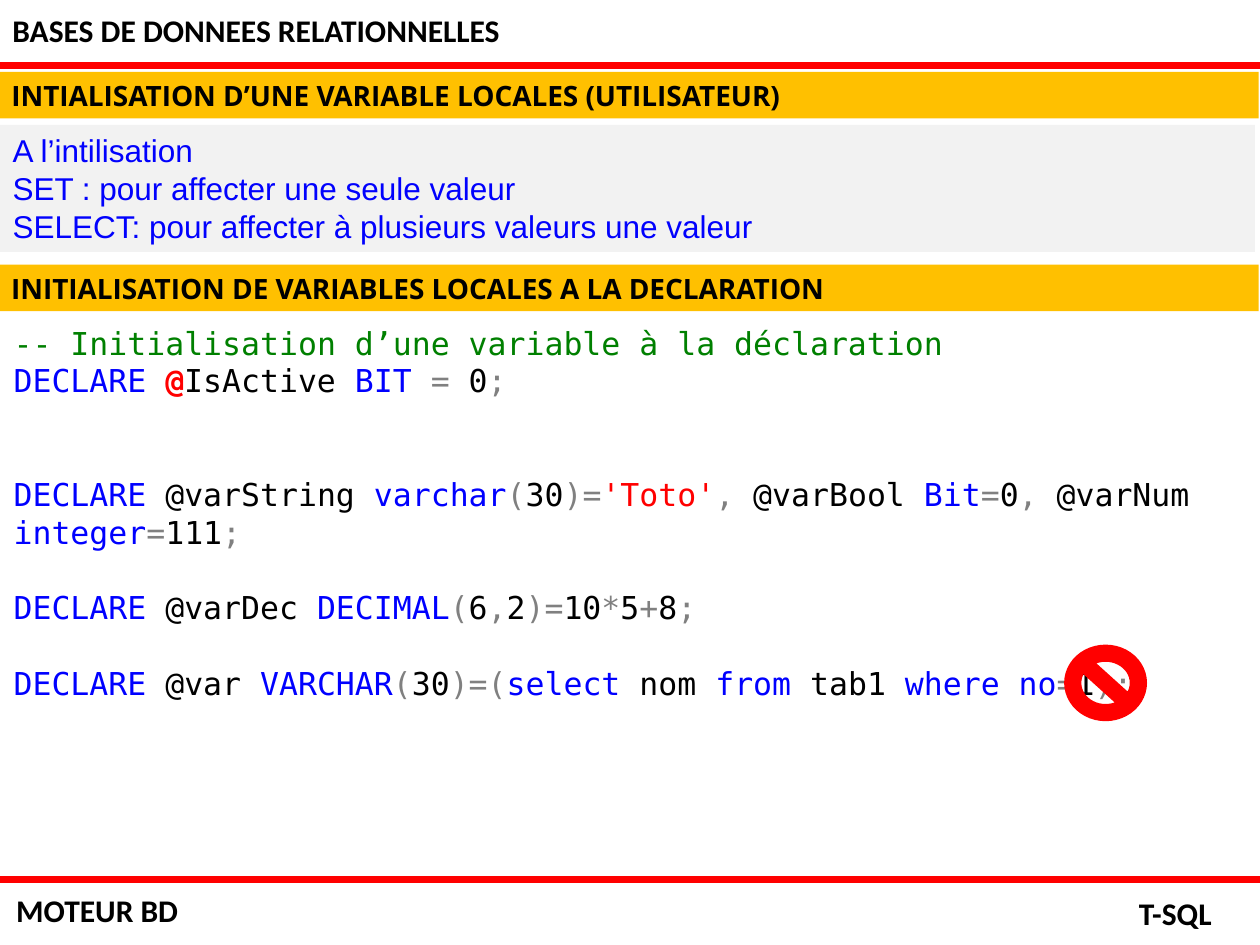
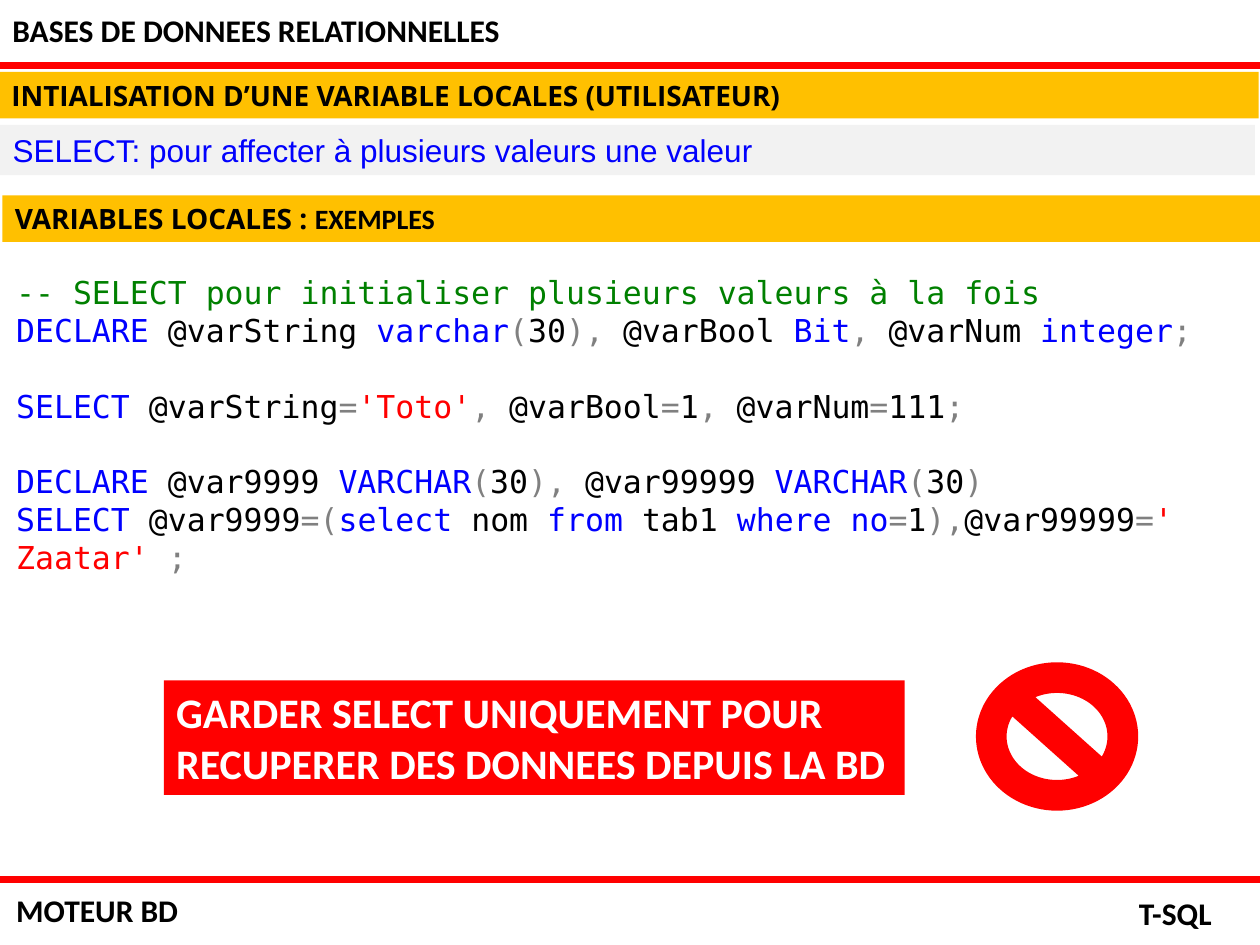
import pptx
import pptx.util
import pptx.dml.color
import pptx.enum.shapes
import pptx.enum.text
import pptx.oxml.ns
import lxml.etree

Inches = pptx.util.Inches
Pt = pptx.util.Pt
RGB = pptx.dml.color.RGBColor.from_string

THEME = {
    "red": RGB("FF0000"),
    "amber": RGB("FFC000"),
    "grey": RGB("F2F2F2"),
    "pitch": 21.6,
    "roles": {
        "frame": ("Calibri", 18, True, "000000"),
        "band": ("Open Sans", 16, True, "000000"),
        "rules": ("Arial", 18, False, "0101FD"),
        "code": ("DejaVu Sans Mono", 18, False, "000000"),
        "warning": ("Calibri", 24, True, "FFFFFF"),
    },
    "syntax": {
        "comment": "008000",
        "key": "0000FF",
        "name": "000000",
        "op": "808080",
        "str": "FF0000",
        "sigil": "FF0000",
    },
}

TOPIC = "INTIALISATION D’UNE VARIABLE LOCALES (UTILISATEUR)"
SELECT_RULE = "SELECT: pour affecter à plusieurs valeurs une valeur"

FRAME_LABELS = [
    ("BASES DE DONNEES RELATIONNELLES", 0, 0.04, 4.11),
    ("MOTEUR BD", 0.03, 7.02, 1.45),
    ("T-SQL", 8.94, 7.05, 0.8),
]

LESSONS = [
    {
        "rules": ["A l’intilisation", "SET : pour affecter une seule valeur", SELECT_RULE],
        "rules_height": 1.01,
        "band": [("INITIALISATION DE VARIABLES LOCALES A LA DECLARATION", "Open Sans")],
        "band_at": (-0.01, 2.1),
        "code_at": (0.01, 2.52, 9.96, 3.13),
        "code": [
            (0, "comment:-- Initialisation d’une variable à la déclaration"),
            (0, "key:DECLARE |sigil:@|name:IsActive |key:BIT |op:=|name: 0|op:;"),
            (2, "key:DECLARE|name: @varString |key:varchar|op:(|name:30|op:)=|str:'Toto'|op:,"
                "|name: @varBool |key:Bit|op:=|name:0|op:,|name: @varNum |key:integer|op:="
                "|name:111|op:;"),
            (1, "key:DECLARE|name: @varDec |key:DECIMAL|op:(|name:6|op:,|name:2|op:)="
                "|name:10|op:*|name:5|op:+|name:8|op:;"),
            (1, "key:DECLARE|name: @var |key:VARCHAR|op:(|name:30|op:)=(|key:select|name: nom "
                "|key:from|name: tab1 |key:where no|op:=|name:1|op:);"),
        ],
        "forbidden_at": (8.46, 5.13, 0.63, 0.58),
        "warning": [],
    },
    {
        "rules": [SELECT_RULE],
        "rules_height": 0.4,
        "band": [("VARIABLES LOCALES : ", "Open Sans"), ("EXEMPLES", "Calibri")],
        "band_at": (0.02, 1.55),
        "code_at": (0.03, 2.12, 9.96, 2.22),
        "code": [
            (0, "comment:-- SELECT pour initialiser plusieurs valeurs à la fois"),
            (0, "key:DECLARE|name: @varString |key:varchar|op:(|name:30|op:),|name: @varBool "
                "|key:Bit|op:,|name: @varNum |key:integer|op:;"),
            (1, "key:SELECT|name: @varString|op:=|str:'Toto'|op:,|name: @varBool|op:=|name:1"
                "|op:,|name: @varNum|op:=|name:111|op:;"),
            (1, "key:DECLARE|name: @var9999 |key:VARCHAR|op:(|name:30|op:),|name: @var99999 "
                "|key:VARCHAR|op:(|name:30|op:)"),
            (0, "key:SELECT|name: @var9999|op:=(|key:select|name: nom |key:from|name: tab1 "
                "|key:where no|op:=|name:1|op:),|name:@var99999|op:=|str:' Zaatar' |op:;"),
        ],
        "forbidden_at": (7.76, 5.27, 1.26, 1.15),
        "warning": ["GARDER SELECT UNIQUEMENT POUR", "RECUPERER DES DONNEES DEPUIS LA BD"],
    },
]


def prepare(box, at, fill=None, wrap=True, middle=False):
    box.left, box.top, box.width, box.height = [Inches(v) for v in at]
    if fill is not None:
        box.fill.solid()
        box.fill.fore_color.rgb = fill
    frame = box.text_frame
    frame.word_wrap = wrap
    frame.auto_size = pptx.enum.text.MSO_AUTO_SIZE.NONE
    anchors = pptx.enum.text.MSO_ANCHOR
    frame.vertical_anchor = anchors.MIDDLE if middle else anchors.TOP
    return frame


def write(frame, role, lines, pitch=None):
    font_name, size, bold, colour = THEME["roles"][role]
    for number, runs in enumerate(lines):
        line = frame.paragraphs[0] if number == 0 else frame.add_paragraph()
        line.alignment = pptx.enum.text.PP_ALIGN.LEFT
        line.space_before = Pt(0)
        if pitch:
            line.line_spacing = Pt(pitch)
        for words in runs:
            run = line.add_run()
            run.text = words
            run.font.name = font_name
            run.font.size = Pt(size)
            run.font.bold = bold
            run.font.color.rgb = RGB(colour)


deck = pptx.Presentation()
deck.slide_width, deck.slide_height = Inches(10), Inches(7.5)

for lesson in LESSONS:
    slide = deck.slides.add_slide(deck.slide_layouts[1])
    shapes = slide.shapes

    for height in (0.52, 6.98):
        rule = shapes.add_connector(
            pptx.enum.shapes.MSO_CONNECTOR.STRAIGHT, 0, Inches(height), Inches(10), Inches(height))
        rule.line.color.rgb = THEME["red"]
        rule.line.width = Pt(4.5)
        lxml.etree.SubElement(rule._element.spPr, pptx.oxml.ns.qn("a:effectLst"))

    for label, left, top, width in FRAME_LABELS:
        label_box = shapes.add_textbox(0, 0, 0, 0)
        write(prepare(label_box, (left, top, width, 0.4), wrap=False), "frame", [[label]])

    topic = prepare(shapes.title, (-0.01, 0.57, 10, 0.37), THEME["amber"], middle=True)
    write(topic, "band", [[TOPIC]])

    rules = prepare(slide.placeholders[1], (0, 0.99, 9.96, lesson["rules_height"]), THEME["grey"])
    write(rules, "rules", [[words] for words in lesson["rules"]], THEME["pitch"])
    for line in rules.paragraphs:
        properties = line._p.get_or_add_pPr()
        properties.set("marL", "0")
        properties.set("indent", "0")
        lxml.etree.SubElement(properties, pptx.oxml.ns.qn("a:buNone"))

    band = prepare(shapes.add_textbox(0, 0, 0, 0), (*lesson["band_at"], 10, 0.37),
                   THEME["amber"], middle=True)
    write(band, "band", [[words for words, font_name in lesson["band"]]])
    for run, (words, font_name) in zip(band.paragraphs[0].runs, lesson["band"]):
        run.font.name = font_name

    code = prepare(shapes.add_textbox(0, 0, 0, 0), lesson["code_at"])
    statements = [[token.partition(":") for token in statement.split("|")]
                  for gap, statement in lesson["code"]]
    write(code, "code", [[words for kind, colon, words in tokens] for tokens in statements],
          THEME["pitch"])
    for line, tokens, (gap, statement) in zip(code.paragraphs, statements, lesson["code"]):
        line.space_before = Pt(gap * THEME["pitch"])
        for run, (kind, colon, words) in zip(line.runs, tokens):
            run.font.color.rgb = RGB(THEME["syntax"][kind])
            run.font.bold = kind == "sigil"

    forbidden = shapes.add_shape(pptx.enum.shapes.MSO_SHAPE.NO_SYMBOL,
                                 *[Inches(v) for v in lesson["forbidden_at"]])
    forbidden.shadow.inherit = False
    forbidden.fill.solid()
    forbidden.fill.fore_color.rgb = THEME["red"]
    forbidden.line.color.rgb = THEME["red"]
    forbidden.line.width = Pt(2)

    if lesson["warning"]:
        warning = prepare(shapes.add_textbox(0, 0, 0, 0), (1.3, 5.4, 5.88, 0.91),
                          THEME["red"], wrap=False)
        write(warning, "warning", [[words] for words in lesson["warning"]])

deck.save("out.pptx")
